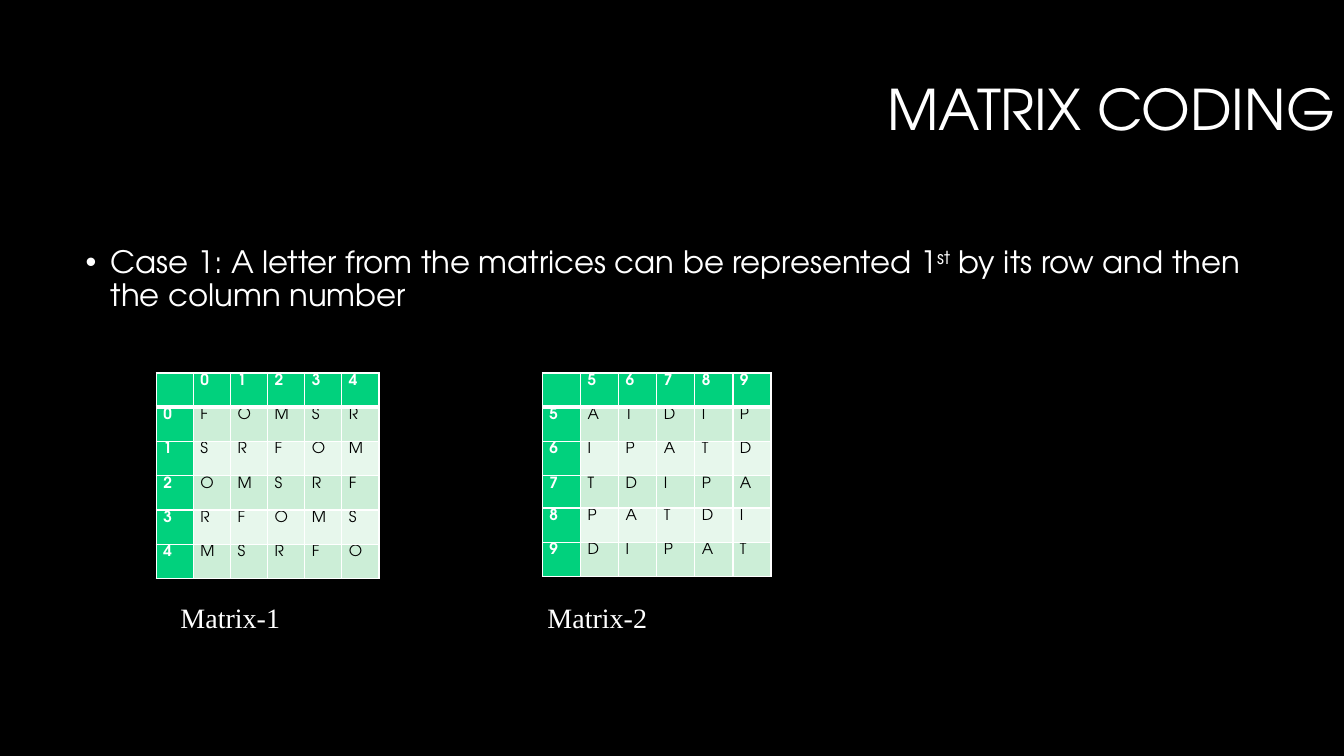
from dataclasses import dataclass

from lxml.etree import SubElement
from pptx import Presentation
from pptx.dml.color import RGBColor
from pptx.enum.text import MSO_ANCHOR, MSO_AUTO_SIZE, PP_ALIGN
from pptx.oxml.ns import qn
from pptx.util import Inches, Pt


@dataclass(frozen=True)
class Theme:
    background: str = "000000"
    light: str = "FFFFFF"
    dark: str = "000000"
    header: str = "01D17D"
    bands: tuple = ("CCEED7", "E7F7EC")
    sans: str = "TeX Gyre Adventor"
    serif: str = "Times New Roman"
    title_size: int = 40
    body_size: int = 22
    caption_size: int = 20
    cell_size: int = 11


THEME = Theme()


def color(value):
    return RGBColor.from_string(value)


def style_runs(para, font, size, ink, bold=False):
    for span in para.runs:
        span.font.name = font
        span.font.size = Pt(size)
        span.font.color.rgb = color(ink)
        span.font.bold = bold


def add_box(page, left, top, width, height, anchor):
    box = page.shapes.add_textbox(Inches(left), Inches(top), Inches(width), Inches(height))
    box.text_frame.word_wrap = True
    box.text_frame.vertical_anchor = anchor
    return box


def add_title(page, text):
    box = add_box(page, 3.92, 0.41, 9.42, 1.41, MSO_ANCHOR.MIDDLE)
    para = box.text_frame.paragraphs[0]
    para.text = text
    para.alignment = PP_ALIGN.RIGHT
    para.line_spacing = 0.9
    style_runs(para, THEME.sans, THEME.title_size, THEME.light)


def add_bullet(page, before, raised, after):
    box = add_box(page, 0.75, 2.4, 11.83, 4.4, MSO_ANCHOR.TOP)
    para = box.text_frame.paragraphs[0]
    para.line_spacing = 0.9
    properties = para._p.get_or_add_pPr()
    properties.set("marL", str(Inches(0.25)))
    properties.set("indent", str(Inches(-0.25)))
    SubElement(properties, qn("a:buFont"), typeface="Arial")
    SubElement(properties, qn("a:buChar"), char="•")
    for text in (before, raised, after):
        para.add_run().text = text
    style_runs(para, THEME.sans, THEME.body_size, THEME.light)
    para.runs[1].font._element.set("baseline", "30000")


def add_caption(page, left, text):
    box = add_box(page, left, 5.9, 1.47, 0.44, MSO_ANCHOR.MIDDLE)
    box.text_frame.margin_left = Inches(0.24)
    box.text_frame.auto_size = MSO_AUTO_SIZE.SHAPE_TO_FIT_TEXT
    para = box.text_frame.paragraphs[0]
    para.text = text
    style_runs(para, THEME.serif, THEME.caption_size, THEME.light)


def set_borders(cell, top, bottom):
    properties = cell._tc.get_or_add_tcPr()
    for side, width in (("L", 1), ("R", 1), ("T", top), ("B", bottom)):
        line = SubElement(properties, qn(f"a:ln{side}"), w=str(Pt(width)))
        fill = SubElement(line, qn("a:solidFill"))
        SubElement(fill, qn("a:srgbClr"), val=THEME.light)


def fill_cell(cell, text, row, column):
    is_header = row == 0 or column == 0
    cell.margin_left = cell.margin_right = Inches(0.07)
    cell.margin_top = cell.margin_bottom = 0
    set_borders(cell, 3 if row == 1 else 1, 3 if row == 0 else 1)
    cell.fill.solid()
    cell.fill.fore_color.rgb = color(THEME.header if is_header else THEME.bands[(row - 1) % 2])
    para = cell.text_frame.paragraphs[0]
    para.text = text
    para.line_spacing = 1.07
    ink = THEME.light if is_header else THEME.dark
    style_runs(para, THEME.sans, THEME.cell_size, ink, is_header)


def add_matrix(page, left, width, row_heights, labels, letters):
    rows = [["", *labels]] + [[label, *line] for label, line in zip(labels, letters)]
    size = len(rows)
    frame = page.shapes.add_table(
        size, size, Inches(left), Inches(3.7), Inches(width), Inches(sum(row_heights)))
    table = frame.table
    table.first_row = table.horz_banding = False
    for column in table.columns:
        column.width = Inches(width / size)
    for row, height in zip(table.rows, row_heights):
        row.height = Inches(height)
    for row, values in enumerate(rows):
        for column, text in enumerate(values):
            fill_cell(table.cell(row, column), text, row, column)


def main():
    deck = Presentation()
    deck.slide_width, deck.slide_height = Inches(13.33), Inches(7.5)
    page = deck.slides.add_slide(deck.slide_layouts[6])
    page.background.fill.solid()
    page.background.fill.fore_color.rgb = color(THEME.background)

    add_title(page, "MATRIX CODING")
    add_bullet(page, "Case 1: A letter from the matrices can be represented 1", "st",
               " by its row and then the column number")
    add_matrix(page, 1.55, 2.21, [0.34] * 6, "01234",
               ["FOMSR", "SRFOM", "OMSRF", "RFOMS", "MSRFO"])
    add_caption(page, 1.55, "Matrix-1")
    add_matrix(page, 5.38, 2.27, [0.34, 0.34, 0.34, 0.32, 0.34, 0.34], "56789",
               ["ATDIP", "IPATD", "TDIPA", "PATDI", "DIPAT"])
    add_caption(page, 5.19, "Matrix-2")
    deck.save("out.pptx")


if __name__ == "__main__":
    main()
